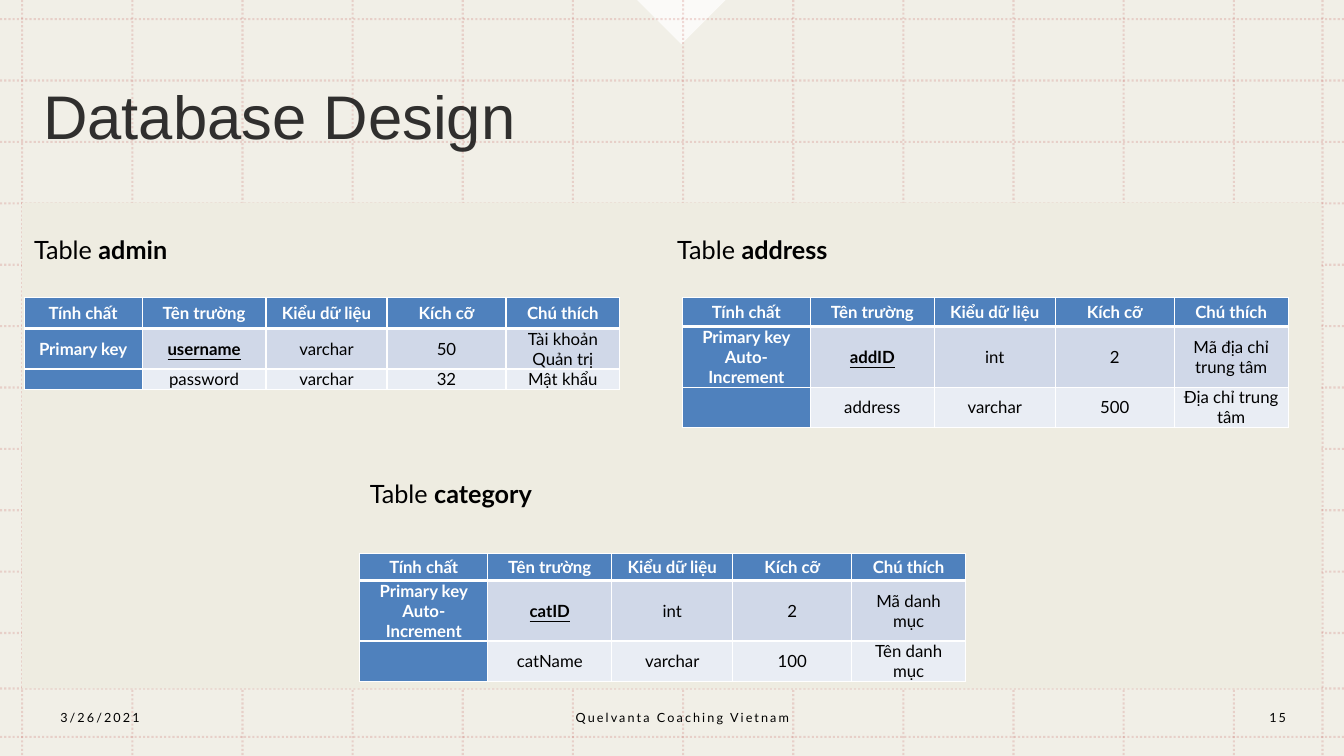
from lxml.etree import SubElement
from pptx import Presentation
from pptx.dml.color import RGBColor
from pptx.enum.dml import MSO_LINE
from pptx.enum.shapes import MSO_CONNECTOR, MSO_SHAPE
from pptx.enum.text import MSO_ANCHOR as Anchor, PP_ALIGN as Align
from pptx.oxml.ns import qn
from pptx.util import Pt

WIDTH, HEIGHT = 960, 540
BLUE, WHITE, BLACK, CREAM, RED = "4F81BD", "FFFFFF", "000000", "EEECE1", "C0504D"
BAND_FILLS = [BLUE, "D0D8E8", "E9EDF4"]
HEADINGS = ["Tính chất", "Tên trường", "Kiểu dữ liệu", "Kích cỡ", "Chú thích"]
FIELD_WIDTHS = [88.56, 86.4, 84.96, 81.36]
LINE_HEIGHT = 14.4

# name, label position, table position, key column width, header height,
# text lines in each body row, body rows
TABLES = [
    ("admin", (17.28, 164.16), (17.28, 212.4), 84.24, 22.3, [2, 1],
     [["Primary key", "username", "varchar", "50", "Tài khoản Quản trị"],
      ["", "password", "varchar", "32", "Mật khẩu"]]),
    ("address", (476.64, 164.16), (487.44, 212.4), 91.44, 20.9, [3, 2],
     [["Primary key\nAuto-Increment", "addID", "int", "2", "Mã địa chỉ trung tâm"],
      ["", "address", "varchar", "500", "Địa chỉ trung tâm"]]),
    ("category", (257.04, 338.4), (257.04, 395.28), 91.44, 19.4, [3, 2],
     [["Primary key\nAuto-Increment", "catID", "int", "2", "Mã danh mục"],
      ["", "catName", "varchar", "100", "Tên danh mục"]]),
]


def color(value):
    return RGBColor.from_string(value)


def set_opacity(element, percent):
    for node in element.iter(qn("a:srgbClr")):
        SubElement(node, qn("a:alpha"), val=str(percent * 1000))


def add_run(paragraph, text, size, fill=BLACK, bold=False, font="Lato"):
    run = paragraph.add_run()
    run.text = text
    run.font.name, run.font.size, run.font.bold = font, Pt(size), bold
    run.font.color.rgb = color(fill)
    return run


def add_text_box(slide, box, anchor=Anchor.MIDDLE, align=Align.LEFT):
    """Add an empty wrapping text box and return its first paragraph."""
    frame = slide.shapes.add_textbox(*map(Pt, box)).text_frame
    frame.word_wrap = True
    frame.vertical_anchor = anchor
    paragraph = frame.paragraphs[0]
    paragraph.alignment = align
    return paragraph


def add_block(slide, preset, box, fill, opacity=100):
    shape = slide.shapes.add_shape(preset, *map(Pt, box))
    shape.shadow.inherit = False
    shape.fill.solid()
    shape.fill.fore_color.rgb = color(fill)
    shape.line.fill.background()
    if opacity < 100:
        set_opacity(shape.element, opacity)
    return shape


def add_grid_line(slide, x1, y1, x2, y2):
    connector = slide.shapes.add_connector(MSO_CONNECTOR.STRAIGHT, *map(Pt, (x1, y1, x2, y2)))
    connector.line.color.rgb = color(RED)
    connector.line.width = Pt(1.5)
    connector.line.dash_style = MSO_LINE.ROUND_DOT
    set_opacity(connector.element, 20)
    SubElement(connector.element.spPr, qn("a:effectLst"))


def add_background(slide, width, height):
    add_block(slide, MSO_SHAPE.RECTANGLE, (0, 0, width + 1, height), CREAM, 80)
    notch = add_block(slide, MSO_SHAPE.RIGHT_TRIANGLE, (464.4, -22.32, 44.64, 44.64), WHITE, 75)
    notch.rotation = 315
    for x in [15.84 + 78.68 * i for i in range(12)] + [944.64]:
        add_grid_line(slide, x, 0, x, height)
    for y in [13.68 + 43.85 * i for i in range(11)] + [491.76, 526.32]:
        add_grid_line(slide, 0, y, width, y)
    add_block(slide, MSO_SHAPE.RECTANGLE, (15.84, 144.72, 928.08, 347.04), CREAM)


def add_title(slide, box, text):
    paragraph = add_text_box(slide, box)
    paragraph.line_spacing = 0.9
    run = add_run(paragraph, text, 44, font="Arial")
    set_opacity(run.font._element, 80)


def add_footer(slide, top, height):
    for left, width, text, align in [
        (36, 201.6, "3/26/2021", Align.LEFT),
        (330.48, 313.92, "Quelvanta Coaching Vietnam", Align.CENTER),
        (881.28, 62.64, "15", Align.CENTER),
    ]:
        paragraph = add_text_box(slide, (left, top, width, height), align=align)
        run = add_run(paragraph, text, 9)
        run.font._element.set("spc", "150")


def set_borders(cell, row):
    properties = cell._tc.get_or_add_tcPr()
    widths = {"L": 1, "R": 1, "T": 3 if row == 1 else 1, "B": 3 if row == 0 else 1}
    for side, width in widths.items():
        border = SubElement(properties, qn(f"a:ln{side}"), w=str(Pt(width)))
        fill = SubElement(border, qn("a:solidFill"))
        SubElement(fill, qn("a:srgbClr"), val=WHITE)


def fill_cell(cell, row, column, text):
    is_heading = row == 0 or column == 0
    is_key_field = (row, column) == (1, 1)
    set_borders(cell, row)
    cell.fill.solid()
    cell.fill.fore_color.rgb = color(BLUE if is_heading else BAND_FILLS[row])
    cell.margin_left = cell.margin_right = Pt(5)
    cell.margin_top = cell.margin_bottom = 0
    cell.vertical_anchor = Anchor.MIDDLE
    for index, line in enumerate(text.split("\n")):
        frame = cell.text_frame
        paragraph = frame.add_paragraph() if index else frame.paragraphs[0]
        paragraph.alignment = Align.CENTER
        if line:
            run = add_run(paragraph, line, 12, WHITE if is_heading else BLACK,
                          is_heading or is_key_field)
            run.font.underline = is_key_field
        else:
            SubElement(paragraph._p, qn("a:endParaRPr"), sz="1200")


def add_schema(slide, name, label_at, table_at, key_width, header_height, line_counts, body):
    """Add the label and the field table of one database table."""
    widths = [key_width] + FIELD_WIDTHS
    heights = [header_height] + [LINE_HEIGHT * count for count in line_counts]
    label = add_text_box(slide, (*label_at, 425.5, 29), Anchor.TOP)
    add_run(label, "Table ", 18)
    add_run(label, name, 18, bold=True)

    table = slide.shapes.add_table(len(heights), len(widths), *map(
        Pt, (*table_at, sum(widths), sum(heights)))).table
    for column, width in zip(table.columns, widths):
        column.width = Pt(width)
    for row, height in zip(table.rows, heights):
        row.height = Pt(height)
    for row, texts in enumerate([HEADINGS] + body):
        for column, text in enumerate(texts):
            fill_cell(table.cell(row, column), row, column, text)


def main():
    presentation = Presentation()
    presentation.slide_width, presentation.slide_height = Pt(WIDTH), Pt(HEIGHT)
    slide = presentation.slides.add_slide(presentation.slide_layouts[6])
    add_background(slide, WIDTH, HEIGHT)
    add_title(slide, (23.76, 26.64, 905.76, 118.08), "Database Design")
    add_footer(slide, 498, 28.8)
    for schema in TABLES:
        add_schema(slide, *schema)
    presentation.save("out.pptx")


if __name__ == "__main__":
    main()
